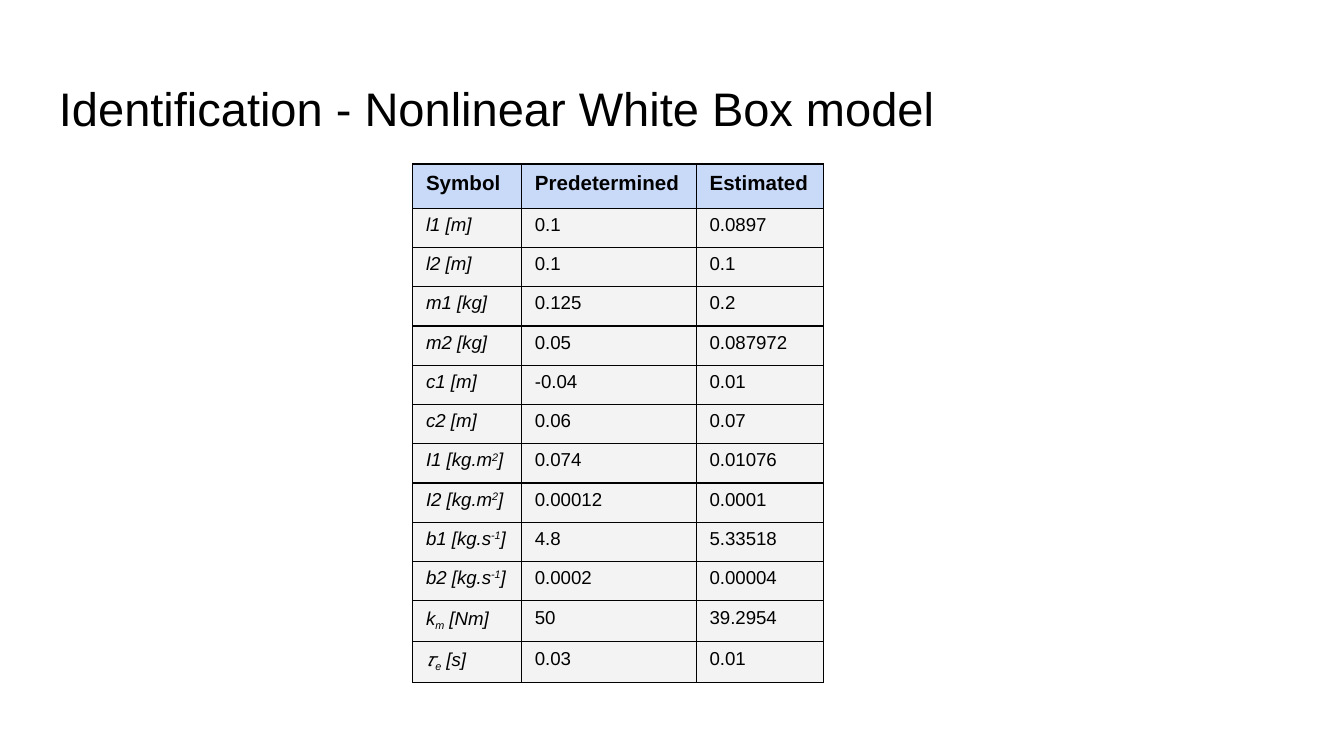
from lxml.etree import SubElement
from pptx import Presentation
from pptx.dml.color import RGBColor
from pptx.enum.text import MSO_ANCHOR as Anchor
from pptx.oxml.ns import qn
from pptx.util import Inches, Pt

BLACK = RGBColor(0x00, 0x00, 0x00)
HEADER_BLUE = RGBColor(0xC9, 0xDA, 0xF8)
ROW_GRAY = RGBColor(0xF3, 0xF3, 0xF3)
SUPER, SUB = 30, -25  # baseline shift in percent

HEADINGS = ("Symbol", "Predetermined", "Estimated")
PARAMETERS = [
    ("l1 [m]", "0.1", "0.0897"),
    ("l2 [m]", "0.1", "0.1"),
    ("m1 [kg]", "0.125", "0.2"),
    ("m2 [kg]", "0.05", "0.087972"),
    ("c1 [m]", "-0.04", "0.01"),
    ("c2 [m]", "0.06", "0.07"),
    (("I1 [kg.m", ("2", SUPER), "]"), "0.074", "0.01076"),
    (("I2 [kg.m", ("2", SUPER), "]"), "0.00012", "0.0001"),
    (("b1 [kg.s", ("-1", SUPER), "]"), "4.8", "5.33518"),
    (("b2 [kg.s", ("-1", SUPER), "]"), "0.0002", "0.00004"),
    (("k", ("m", SUB), " [Nm]"), "50", "39.2954"),
    (("𝜏", ("e", SUB), " [s]"), "0.03", "0.01"),
]


def write(frame, text, size, bold=False, italic=False, spacing=1.0):
    """Fill a frame with one paragraph; text is a string or a tuple of runs."""
    frame.word_wrap = True
    paragraph = frame.paragraphs[0]
    paragraph.line_spacing = spacing
    for part in (text,) if isinstance(text, str) else text:
        words, shift = (part, 0) if isinstance(part, str) else part
        run = paragraph.add_run()
        run.text = words
        font = run.font
        font.name, font.size = "Arial", Pt(size)
        font.bold, font.italic = bold, italic
        font.color.rgb = BLACK
        if shift:
            run._r.get_or_add_rPr().set("baseline", str(shift * 1000))


def add_borders(cell):
    properties = cell._tc.get_or_add_tcPr()
    for side in ("a:lnL", "a:lnR", "a:lnT", "a:lnB"):
        line = SubElement(properties, qn(side), w=str(Pt(0.75)))
        fill = SubElement(line, qn("a:solidFill"))
        SubElement(fill, qn("a:srgbClr"), val=str(BLACK))


# Widescreen slide, 16:9
deck = Presentation()
deck.slide_width = Inches(10)
deck.slide_height = deck.slide_width * 9 // 16
slide = deck.slides.add_slide(deck.slide_layouts[6])

# Title
margin = Inches(0.34)
title = slide.shapes.add_textbox(margin, Inches(0.49),
                                 deck.slide_width - 2 * margin, Inches(0.63))
frame = title.text_frame
frame.margin_left = frame.margin_right = Inches(0.1)
frame.margin_top = frame.margin_bottom = Inches(0.1)
frame.vertical_anchor = Anchor.TOP
write(frame, "Identification - Nonlinear White Box model", 25.2)

# Parameter table
column_widths = [Inches(w) for w in (0.81, 1.3, 0.95)]
row_heights = [Inches(0.32)] + [Inches(0.28)] * len(PARAMETERS)
table = slide.shapes.add_table(
    len(row_heights), len(column_widths), Inches(3.07), Inches(1.22),
    sum(column_widths), sum(row_heights)).table
table.horz_banding = False
for column, width in zip(table.columns, column_widths):
    column.width = width
for row, height in zip(table.rows, row_heights):
    row.height = height

for r, entries in enumerate([HEADINGS] + PARAMETERS):
    header = r == 0
    for c, entry in enumerate(entries):
        cell = table.cell(r, c)
        cell.margin_left = cell.margin_right = Inches(0.1)
        cell.margin_top = cell.margin_bottom = Inches(0.1)
        cell.vertical_anchor = Anchor.MIDDLE
        add_borders(cell)
        cell.fill.solid()
        cell.fill.fore_color.rgb = HEADER_BLUE if header else ROW_GRAY
        write(cell.text_frame, entry, 11 if header else 10, bold=header,
              italic=c == 0 and not header, spacing=0.7 if header else 0.55)

deck.save("out.pptx")
